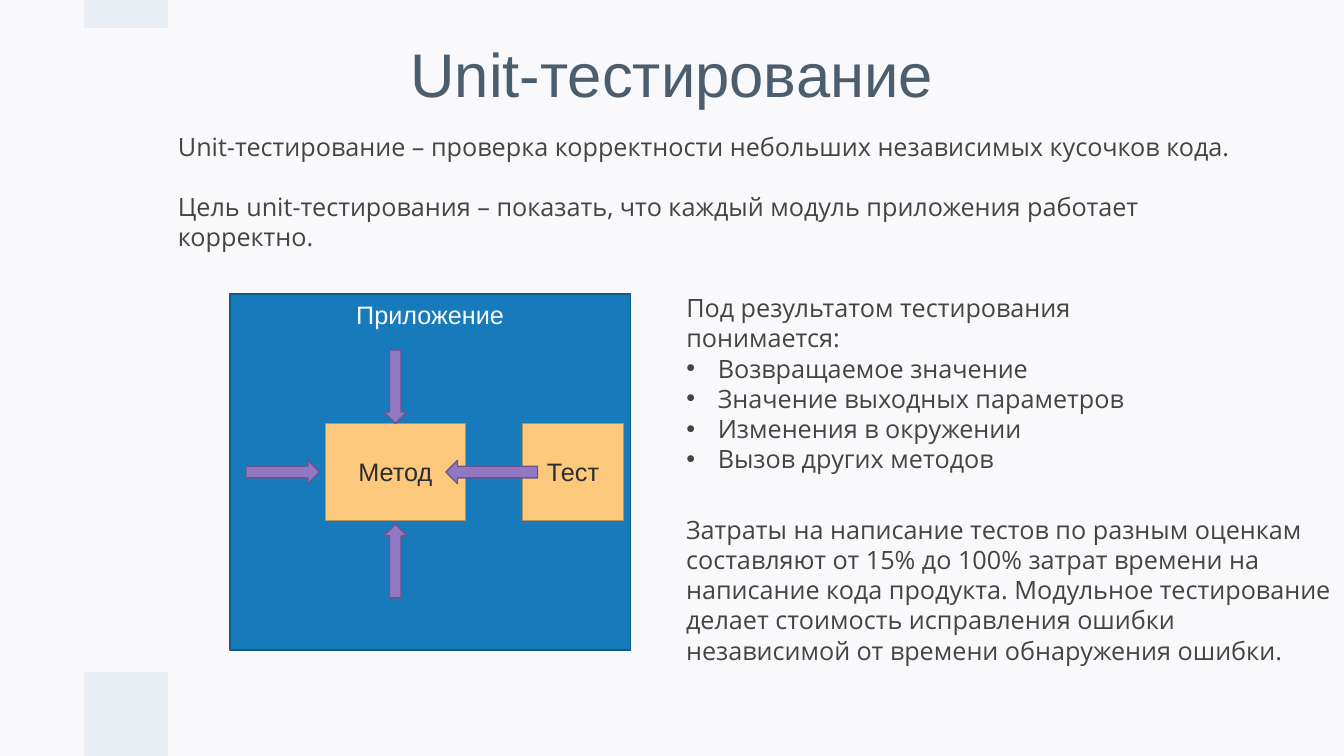
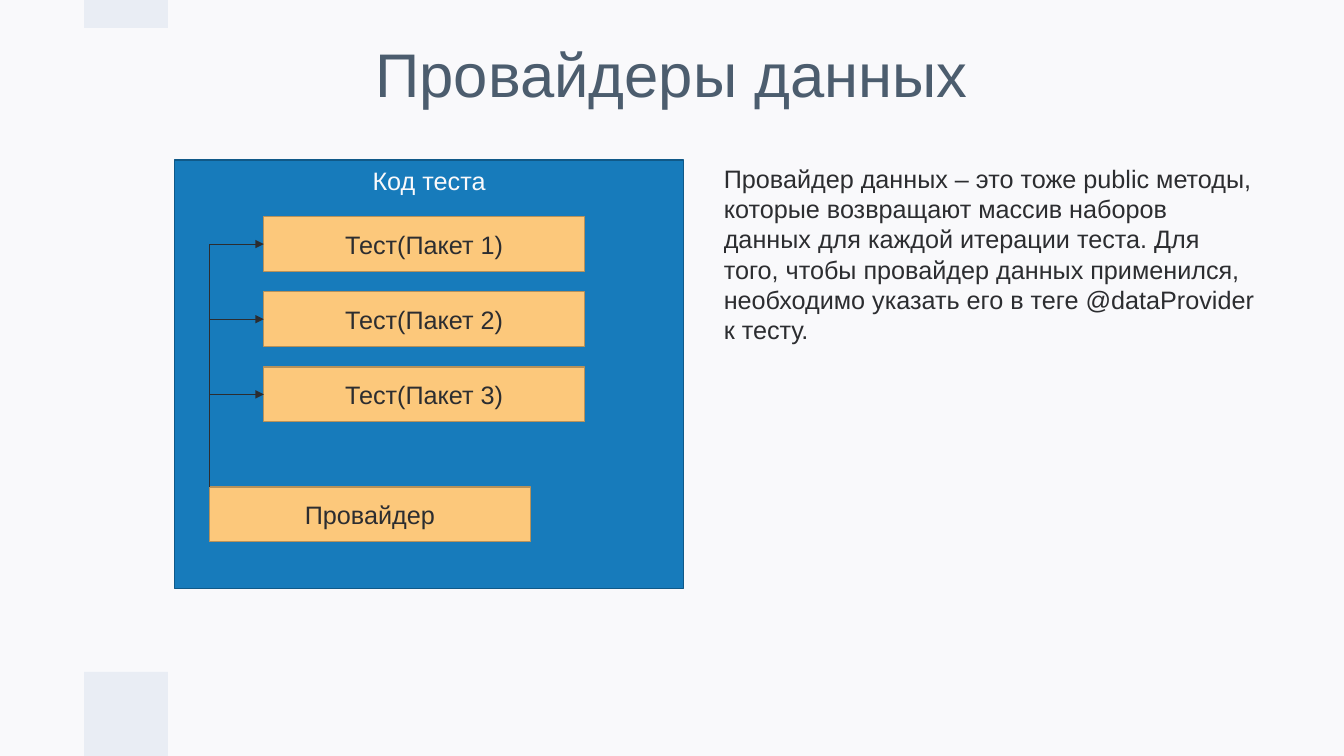
from lxml import etree
from pptx import Presentation
from pptx.dml.color import RGBColor
from pptx.enum.shapes import MSO_CONNECTOR, MSO_SHAPE
from pptx.enum.text import MSO_ANCHOR, MSO_AUTO_SIZE, PP_ALIGN
from pptx.oxml.ns import qn
from pptx.util import Pt

RECTANGLE, DOWN_ARROW = MSO_SHAPE.RECTANGLE, MSO_SHAPE.DOWN_ARROW
ELBOW = MSO_CONNECTOR.ELBOW
TOP, MIDDLE = MSO_ANCHOR.TOP, MSO_ANCHOR.MIDDLE
LEFT, CENTER = PP_ALIGN.LEFT, PP_ALIGN.CENTER
NO_AUTOFIT = MSO_AUTO_SIZE.NONE

COLORS = {
    "background": "F9F9FB", "title": "4C5D6E", "band": "E9EDF4",
    "text": "444444", "dark": "2C2D30", "light": "F9F9FB",
    "panel": "177BBB", "panel_edge": "105988",
    "box": "FCC87B", "box_edge": "B79159",
    "arrow": "9277C3", "arrow_edge": "6A568E",
}
LINE_HEIGHT = 21.6
BULLET_INDENT = 22.5


def color(name):
    return RGBColor.from_string(COLORS[name])


def place(element, left, top, width, height):
    element.left, element.top = Pt(left), Pt(top)
    element.width, element.height = Pt(width), Pt(height)


class Deck:
    def __init__(self):
        self.prs = Presentation()
        self.prs.slide_width, self.prs.slide_height = Pt(960), Pt(540)
        fill = self.prs.slide_master.background.fill
        fill.solid()
        fill.fore_color.rgb = color("background")
        self.slide = None

    def new_slide(self, title):
        self.slide = self.prs.slides.add_slide(self.prs.slide_layouts[1])
        heading = self.slide.shapes.title
        place(heading, 120, 28.8, 720, 52.6)
        frame = heading.text_frame
        frame.margin_left = frame.margin_right = Pt(9.4)
        frame.margin_top = frame.margin_bottom = Pt(9.4)
        self.set_lines(frame, [title], "title", size=44, spacing=0.9,
                       align=CENTER, anchor=MIDDLE)
        for top, height in ((480, 60), (0, 20)):
            self.shape(RECTANGLE, (60, top, 60, height), "band")

    def set_lines(self, frame, lines, ink, font="Arial", size=18, spacing=Pt(LINE_HEIGHT),
                  align=LEFT, anchor=TOP, gap=0, bullets_from=None):
        frame.word_wrap = True
        frame.auto_size = NO_AUTOFIT
        frame.vertical_anchor = anchor
        for index, line in enumerate(lines):
            paragraph = frame.add_paragraph() if index else frame.paragraphs[0]
            paragraph.alignment = align
            paragraph.line_spacing = spacing
            paragraph.space_before = Pt(gap if index else 0)
            paragraph.space_after = Pt(0)
            run = paragraph.add_run()
            run.text = line
            run.font.name, run.font.size = font, Pt(size)
            run.font.color.rgb = color(ink)
            self.bullet(paragraph, bullets_from is not None and index >= bullets_from, ink)

    def bullet(self, paragraph, shown, ink):
        properties = paragraph._p.get_or_add_pPr()
        indent = Pt(BULLET_INDENT) if shown else 0
        properties.set("marL", str(indent))
        properties.set("indent", str(-indent))
        if not shown:
            etree.SubElement(properties, qn("a:buNone"))
            return
        tint = etree.SubElement(properties, qn("a:buClr"))
        etree.SubElement(tint, qn("a:srgbClr"), val=COLORS[ink])
        etree.SubElement(properties, qn("a:buFont"), typeface="Arial")
        etree.SubElement(properties, qn("a:buChar"), char="•")

    def body(self, bounds, lines, ink, **style):
        content = self.slide.placeholders[1]
        place(content, *bounds)
        self.set_lines(content.text_frame, lines, ink, **style)

    def text(self, bounds, lines, ink, **style):
        box = self.slide.shapes.add_textbox(*map(Pt, bounds))
        self.set_lines(box.text_frame, lines, ink, **style)

    def shape(self, kind, bounds, fill, edge=None):
        shape = self.slide.shapes.add_shape(kind, *map(Pt, bounds))
        shape.shadow.inherit = False
        shape.fill.solid()
        shape.fill.fore_color.rgb = color(fill)
        if edge:
            shape.line.color.rgb = color(edge)
            shape.line.width = Pt(1)
        else:
            shape.line.fill.background()
        return shape

    def panel(self, bounds, label):
        panel = self.shape(RECTANGLE, bounds, "panel", "panel_edge")
        self.set_lines(panel.text_frame, [label], "light", align=CENTER)

    def box(self, bounds, label):
        box = self.shape(RECTANGLE, bounds, "box", "box_edge")
        self.set_lines(box.text_frame, [label], "dark", align=CENTER, anchor=MIDDLE)

    def arrow(self, center_x, center_y, rotation, length=52.6, width=16.6):
        bounds = (center_x - width / 2, center_y - length / 2, width, length)
        self.shape(DOWN_ARROW, bounds, "arrow", "arrow_edge").rotation = rotation

    def up_and_right(self, start_x, start_y, end_x, end_y):
        rise, reach = start_y - end_y, end_x - start_x
        left = (start_x + end_x - rise) / 2
        top = (start_y + end_y - reach) / 2
        link = self.slide.shapes.add_connector(
            ELBOW, Pt(left), Pt(top), Pt(left + rise), Pt(top + reach))
        link.line.color.rgb = color("dark")
        link.line.width = Pt(0.75)
        properties = link._element.spPr
        properties.find(qn("a:xfrm")).set("rot", str(270 * 60000))
        properties.find(qn("a:prstGeom")).set("prst", "bentConnector2")
        etree.SubElement(properties.find(qn("a:ln")), qn("a:tailEnd"), type="triangle")
        etree.SubElement(properties, qn("a:effectLst"))


deck = Deck()

deck.new_slide("Unit-тестирование")
deck.text((120, 90, 798.5, 72.7), [
    "Unit-тестирование – проверка корректности небольших независимых кусочков кода.",
    "Цель unit-тестирования – показать, что каждый модуль приложения работает корректно.",
], "text", font="Open Sans", gap=LINE_HEIGHT)
deck.body((483, 205.2, 391.7, 116.6), [
    "Под результатом тестирования понимается:",
    "Возвращаемое значение",
    "Значение выходных параметров",
    "Изменения в окружении",
    "Вызов других методов",
], "text", font="Open Sans", bullets_from=1)
deck.panel((164.2, 210, 286, 254.4), "Приложение")
deck.box((232.4, 302.4, 100, 69.4), "Метод")
method_x, method_y = 282.4, 337.2
deck.arrow(method_x, 276.2, 0)
deck.arrow(202, method_y, 270)
deck.arrow(method_x, 400.8, 180)
deck.box((373, 302.4, 72.6, 69.4), "Тест")
deck.arrow(351.2, method_y, 90, length=65.5)
deck.text((483, 363.6, 477, 116.6), [
    "Затраты на написание тестов по разным оценкам составляют от 15% до 100% "
    "затрат времени на написание кода продукта. Модульное тестирование делает "
    "стоимость исправления ошибки независимой от времени обнаружения ошибки.",
], "text", font="Open Sans")

deck.new_slide("Провайдеры данных")
deck.panel((124.7, 114.3, 363.6, 306), "Код теста")
box_width, box_height = 229.2, 39.2
test_x, first_test_y, test_step = 188.4, 154.7, 53.7
provider_x, provider_y = 149.6, 347.8
test_tops = [first_test_y + test_step * row for row in range(3)]
for number, test_y in enumerate(test_tops, 1):
    deck.box((test_x, test_y, box_width, box_height), f"Тест(Пакет {number})")
deck.box((provider_x, provider_y, box_width, box_height), "Провайдер")
for test_y in test_tops:
    deck.up_and_right(provider_x, provider_y, test_x, test_y + box_height / 2)
deck.body((509.8, 113, 396, 138.2), [
    "Провайдер данных – это тоже public методы, которые возвращают массив наборов "
    "данных для каждой итерации теста. Для того, чтобы провайдер данных применился, "
    "необходимо указать его в теге @dataProvider к тесту.",
], "dark")

deck.prs.save("out.pptx")
